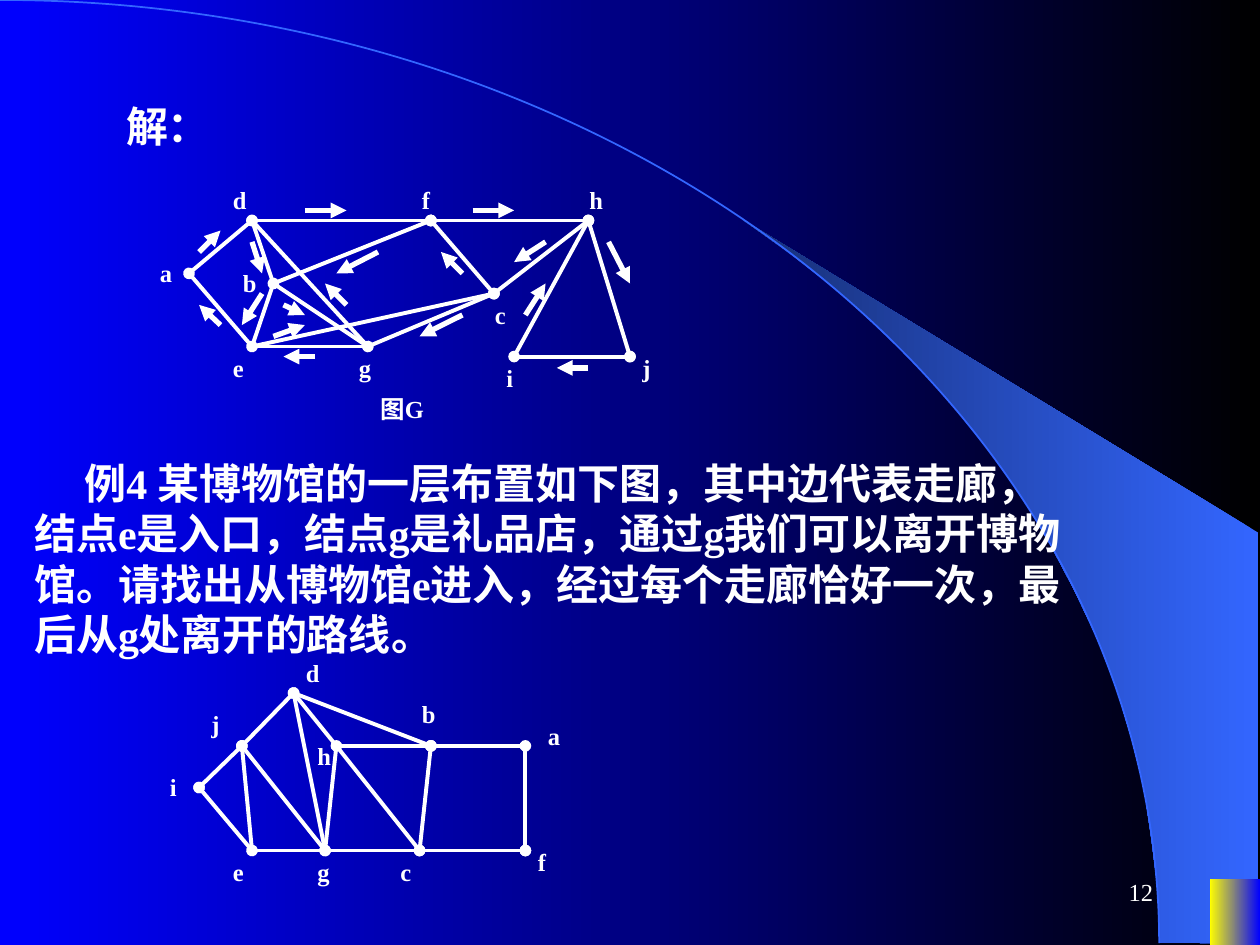
from math import asin, cos, pi, sin

from lxml.etree import SubElement
from pptx import Presentation
from pptx.dml.color import RGBColor
from pptx.enum.shapes import MSO_CONNECTOR, MSO_SHAPE
from pptx.enum.text import MSO_ANCHOR, MSO_AUTO_SIZE, PP_ALIGN
from pptx.oxml.ns import qn
from pptx.util import Inches, Pt

COLORS = {"text": "FFFFFF", "black": "000000", "blue": "0000FF", "arc": "3366FF",
          "band_dark": "172F75", "yellow": "FFFF00"}
FONT = "Times New Roman"
COLUMNS, ROWS = 120, 90  # twelve cells to the inch

# Node: (node column, node row, label column, label row)
TOUR_NODES = {
    "a": (18, 26, 14, 24), "b": (26, 27, 22, 25), "c": (47, 28, 46, 28),
    "d": (24, 21, 21, 17), "e": (24, 33, 21, 33), "f": (41, 21, 39, 17),
    "g": (35, 33, 33, 33), "h": (56, 21, 55, 17), "i": (49, 34, 47, 34),
    "j": (60, 34, 60, 33),
}
MUSEUM_NODES = {
    "a": (50, 71, 51, 68), "b": (41, 71, 39, 66), "c": (40, 81, 37, 81),
    "d": (28, 66, 28, 62), "e": (24, 81, 21, 81), "f": (50, 81, 50, 80),
    "g": (31, 81, 29, 81), "h": (32, 71, 29, 70), "i": (19, 75, 15, 73),
    "j": (23, 71, 19, 67),
}
TOUR_ARROWS = [
    (19, 24, 21, 22), (29, 20, 33, 20), (45, 20, 49, 20), (58, 23, 60, 27),
    (56, 35, 53, 35), (50, 30, 52, 27), (52, 23, 49, 25), (44, 30, 40, 32),
    (30, 34, 27, 34), (26, 32, 29, 31), (44, 26, 42, 24), (36, 24, 32, 26),
    (27, 29, 29, 30), (33, 29, 31, 27), (24, 23, 25, 26), (25, 28, 23, 31),
    (21, 31, 19, 29),
]
MUSEUM_TEXT = ("例4 某博物馆的一层布置如下图，其中边代表走廊，结点e是入口，结点g是礼品店，"
               "通过g我们可以离开博物馆。请找出从博物馆e进入，经过每个走廊恰好一次，"
               "最后从g处离开的路线。")


def rgb(name):
    return RGBColor.from_string(COLORS[name])


def cells(*counts):
    return [Inches(round(count / 12, 2)) for count in counts]


class GraphSlide:
    """Holds the slide and the style its elements share."""

    def __init__(self, deck):
        self.slide = deck.slides.add_slide(deck.slide_layouts[1])
        self.shapes = self.slide.shapes

    def gradient(self, fill, start, end):
        fill.gradient()
        fill.gradient_angle = 180
        for stop, name in zip(fill.gradient_stops, (start, end)):
            stop.color.rgb = rgb(name)

    def filled(self, shape, start, end):
        shape.shadow.inherit = False
        shape.line.fill.background()
        self.gradient(shape.fill, start, end)

    def backdrop(self):
        self.gradient(self.slide.background.fill, "black", "blue")
        radius_x, radius_y = 110.4, 89.8

        # The band's inner edge follows the arc from its tip to the bottom.
        tip = asin(70.7 / radius_x)
        angles = [tip + (pi / 2 - tip) * step / 16 for step in range(17)]
        edge = [cells(radius_x * sin(t), radius_y * (1 - cos(t))) for t in angles]
        band = self.shapes.build_freeform(*edge[0], scale=1.0)
        corners = [cells(119.9, 89.9), cells(119.9, 50.8)]
        band.add_line_segments(edge[1:] + corners, close=True)
        self.filled(band.convert_to_shape(), "arc", "band_dark")

        arc = self.shapes.add_shape(
            MSO_SHAPE.ARC, *cells(-radius_x, 0, 2 * radius_x, 2 * radius_y))
        arc.shadow.inherit = False
        arc.fill.background()
        arc.line.color.rgb = rgb("arc")
        arc.line.width = Pt(1)

        corner = self.shapes.add_shape(MSO_SHAPE.RECTANGLE, *cells(115.2, 83.8, 4.8, 6.2))
        self.filled(corner, "blue", "yellow")

    def add_text(self, frame, text, size, bold=True, align=PP_ALIGN.LEFT):
        frame.word_wrap = True
        paragraph = frame.paragraphs[0]
        paragraph.alignment = align
        run = paragraph.add_run()
        run.text = text
        run.font.name = FONT
        run.font.size = Pt(size)
        run.font.bold = bold
        run.font.color.rgb = rgb("text")
        return paragraph

    def passage(self, placeholder, text, box):
        """Fill a placeholder with an indented passage, in front of the backdrop."""
        self.shapes._spTree.append(placeholder._element)
        placeholder.left, placeholder.top, placeholder.width, placeholder.height = cells(*box)
        frame = placeholder.text_frame
        frame.vertical_anchor = MSO_ANCHOR.TOP
        frame.auto_size = MSO_AUTO_SIZE.SHAPE_TO_FIT_TEXT
        paragraph = self.add_text(frame, text, 24)
        paragraph.space_before = Pt(15)
        properties = paragraph._p.get_or_add_pPr()
        properties.set("marL", "0")
        properties.set("indent", str(Inches(0.4)))
        SubElement(properties, qn("a:buNone"))

    def label(self, parent, text, column, row, width):
        box = parent.add_textbox(*cells(column, row, width, 4.1))
        box.text_frame.auto_size = MSO_AUTO_SIZE.SHAPE_TO_FIT_TEXT
        self.add_text(box.text_frame, text, 14)

    def line(self, parent, ends, width, head=None, tail=None):
        connector = parent.add_connector(MSO_CONNECTOR.STRAIGHT, *cells(*ends))
        connector.line.color.rgb = rgb("text")
        connector.line.width = Pt(width)
        stroke = connector.line._get_or_add_ln()
        for tag, kind in (("a:headEnd", head), ("a:tailEnd", tail)):
            if kind:
                SubElement(stroke, qn(tag)).set("type", kind)
        SubElement(connector._element.spPr, qn("a:effectLst"))

    def graph(self, nodes, plain_edges, dotted_edges, label_width, caption=None):
        """Draw a graph; each edge names its two nodes, dotted ones mark them."""
        group = self.shapes.add_group_shape().shapes
        for edges, dot in ((plain_edges, None), (dotted_edges, "oval")):
            for start, end in edges.split():
                self.line(group, nodes[start][:2] + nodes[end][:2], 2.25, dot, dot)
        for name, (_, _, column, row) in nodes.items():
            self.label(group, name, column, row, label_width)
        if caption:
            self.label(group, *caption)

    def page_number(self, number):
        box = self.shapes.add_textbox(*cells(86, 82, 25, 6))
        box.text_frame.vertical_anchor = MSO_ANCHOR.MIDDLE
        self.add_text(box.text_frame, number, 14, bold=False, align=PP_ALIGN.RIGHT)


def main():
    deck = Presentation()
    deck.slide_width, deck.slide_height = cells(COLUMNS, ROWS)
    page = GraphSlide(deck)
    solution, example = page.shapes.title, page.slide.placeholders[1]

    page.backdrop()
    page.passage(solution, "解：", (6, 9, 101, 6))
    page.graph(TOUR_NODES, "bg eg ae db be dg fc hi", "da df fb ce cg fh hc ij hj",
               4.2, caption=("图G", 35, 37, 12))
    for ends in TOUR_ARROWS:
        page.line(page.shapes, ends, 3, tail="triangle")
    page.passage(example, MUSEUM_TEXT, (2, 43, 101, 20.4))
    page.graph(MUSEUM_NODES, "dj je eg dh hg gc hc ba", "ji ie db jg dg hb bc cf af", 5.2)
    page.page_number("12")
    deck.save("out.pptx")


if __name__ == "__main__":
    main()
